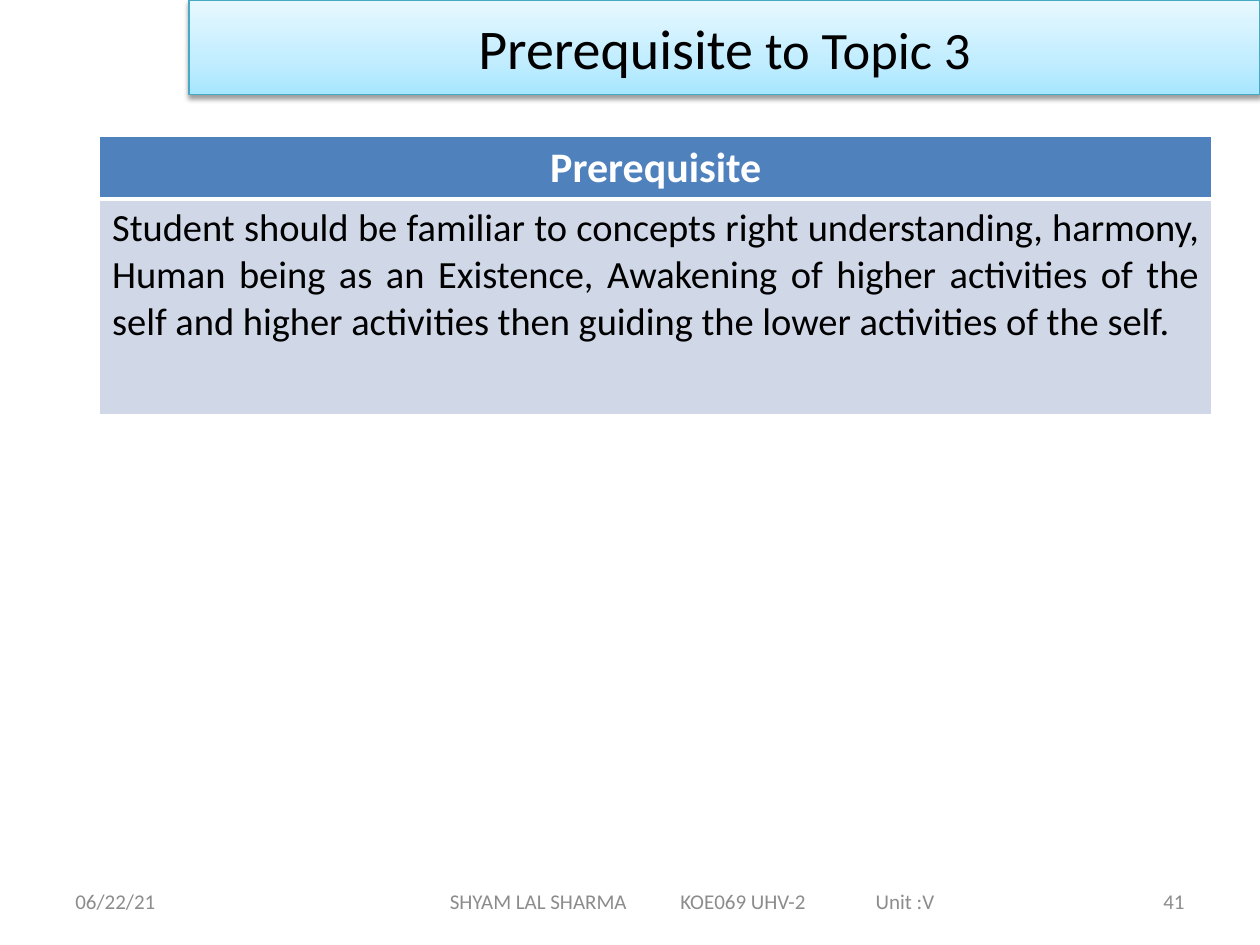
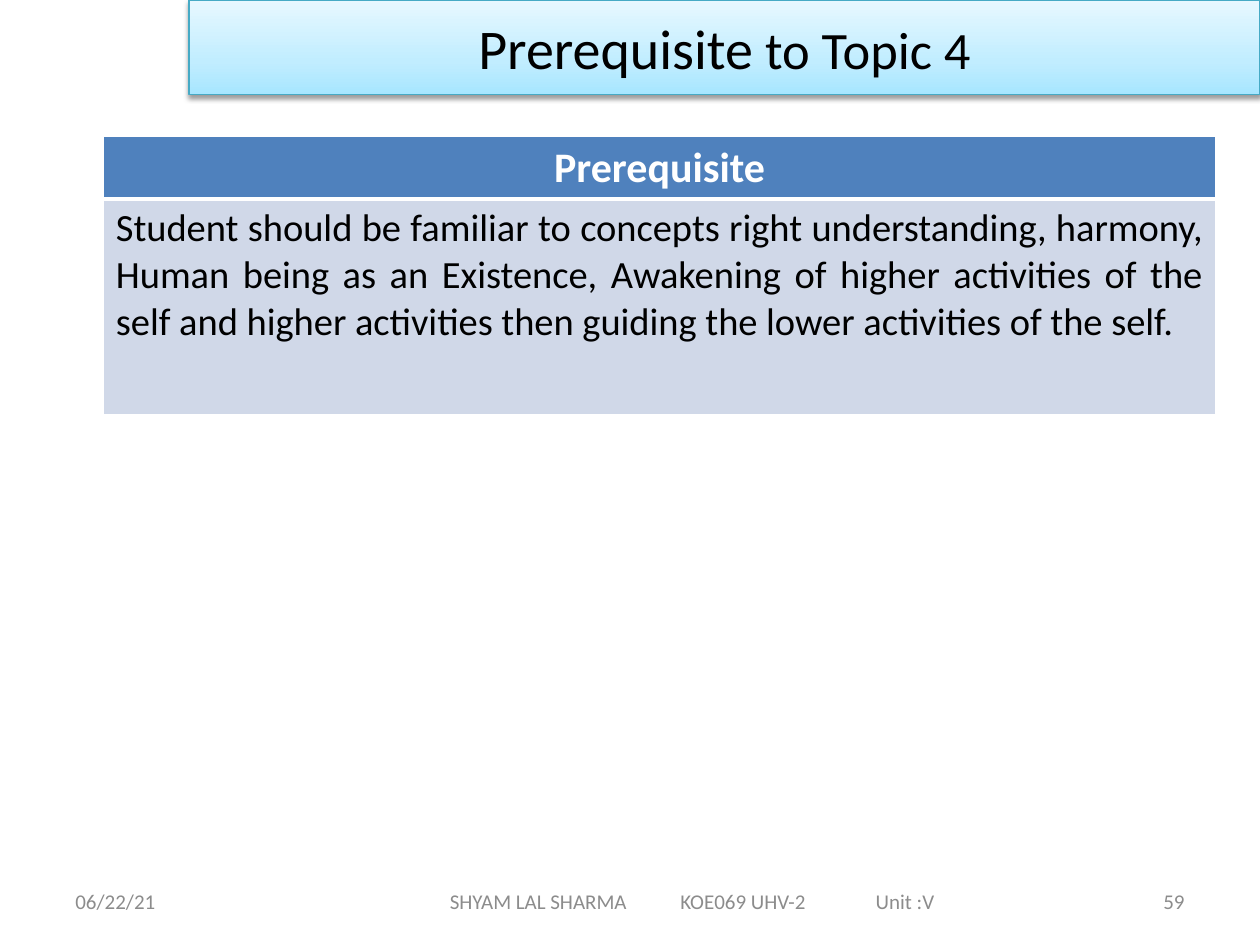
from dataclasses import dataclass

from lxml import etree
from pptx import Presentation
from pptx.dml.color import RGBColor
from pptx.enum.shapes import MSO_SHAPE
from pptx.enum.text import MSO_ANCHOR, PP_ALIGN
from pptx.oxml import parse_xml
from pptx.oxml.ns import qn
from pptx.util import Inches, Pt

RECT = MSO_SHAPE.RECTANGLE
MIDDLE = MSO_ANCHOR.MIDDLE
LEFT, CENTER, RIGHT = PP_ALIGN.LEFT, PP_ALIGN.CENTER, PP_ALIGN.RIGHT
JUSTIFY = PP_ALIGN.JUSTIFY
NS = 'xmlns:a="http://schemas.openxmlformats.org/drawingml/2006/main"'


@dataclass(frozen=True)
class Theme:
    font: str = "Calibri"
    ink: str = "000000"
    paper: str = "FFFFFF"
    gray: str = "8C8C8C"
    edge: str = "46AAC5"
    head: str = "4F81BD"
    body: str = "D0D8E8"
    band: tuple = ((0, "A7E6FF"), (35, "C1EDFF"), (100, "E7F8FF"))
    title_size: float = 32
    topic_size: float = 30
    head_size: float = 24
    body_size: float = 22
    foot_size: float = 12


@dataclass(frozen=True)
class Topic:
    number: int
    page: int
    left: float


@dataclass(frozen=True)
class Foot:
    text: str
    left: float
    width: float
    align: PP_ALIGN
    inset: float = 0.1
    tabs: tuple = ()


THEME = Theme()
TOPICS = (Topic(3, 41, 0.79), Topic(4, 59, 0.82))
NEED = ("Student should be familiar to concepts right understanding, harmony, "
        "Human being as an Existence, Awakening of higher activities of the "
        "self and higher activities then guiding the lower activities of the self.")


def style(run, size: float, color: str, bold: bool = False) -> None:
    font = run.font
    font.name, font.size, font.bold = THEME.font, Pt(size), bold
    font.color.rgb = RGBColor.from_string(color)


def add_foot(slide, foot: Foot) -> None:
    box = slide.shapes.add_textbox(
        Inches(foot.left), Inches(6.95), Inches(foot.width), Inches(0.4))
    frame = box.text_frame
    frame.word_wrap = True
    frame.vertical_anchor = MIDDLE
    frame.margin_left = Inches(foot.inset)
    frame.text = foot.text
    para = frame.paragraphs[0]
    para.alignment = foot.align
    if foot.tabs:
        stops = etree.SubElement(para._p.get_or_add_pPr(), qn("a:tabLst"))
        for stop in foot.tabs:
            etree.SubElement(stops, qn("a:tab"), pos=str(Inches(stop)), algn="l")
    for run in para.runs:
        style(run, THEME.foot_size, THEME.gray)


def add_title(slide, number: int) -> None:
    band = slide.shapes.add_shape(
        RECT, Inches(1.5), Inches(0), Inches(8.5), Inches(0.75))
    band.line.color.rgb = RGBColor.from_string(THEME.edge)
    band.line.width = Pt(0.75)

    # Gradient rising from the lower edge
    band.fill.gradient()
    band.fill.gradient_angle = 90
    props = band._element.spPr
    stops = props.find(qn("a:gradFill")).find(qn("a:gsLst"))
    for old in list(stops):
        stops.remove(old)
    for place, color in THEME.band:
        stops.append(parse_xml(
            f'<a:gs {NS} pos="{place * 1000}"><a:srgbClr val="{color}"/></a:gs>'))

    # Soft shadow below
    band.shadow.inherit = False
    props.find(qn("a:effectLst")).append(parse_xml(
        f'<a:outerShdw {NS} blurRad="{Pt(3.1)}" dist="{Pt(1.6)}" dir="5400000" '
        f'rotWithShape="0"><a:srgbClr val="{THEME.ink}"><a:alpha val="38000"/>'
        '</a:srgbClr></a:outerShdw>'))

    frame = band.text_frame
    frame.vertical_anchor = MIDDLE
    para = frame.paragraphs[0]
    para.alignment = CENTER
    for text, size in (("Prerequisite", THEME.title_size),
                       (f" to Topic {number}", THEME.topic_size)):
        run = para.add_run()
        run.text = text
        style(run, size, THEME.ink)


def set_edges(cell, top: float, bottom: float) -> None:
    props = cell._tc.get_or_add_tcPr()
    widths = {"lnL": 1, "lnR": 1, "lnT": top, "lnB": bottom}
    for spot, (side, width) in enumerate(widths.items()):
        props.insert(spot, parse_xml(
            f'<a:{side} {NS} w="{Pt(width)}"><a:solidFill>'
            f'<a:srgbClr val="{THEME.paper}"/></a:solidFill></a:{side}>'))


def fill_cell(cell, text: str, fill: str, align: PP_ALIGN,
              size: float, color: str, bold: bool) -> None:
    cell.fill.solid()
    cell.fill.fore_color.rgb = RGBColor.from_string(fill)
    cell.text_frame.text = text
    para = cell.text_frame.paragraphs[0]
    para.alignment = align
    style(para.runs[0], size, color, bold)


def add_needs(slide, left: float) -> None:
    table = slide.shapes.add_table(
        2, 1, Inches(left), Inches(1.08), Inches(8.83), Inches(2.21)).table
    table.horz_banding = False
    for row, height in zip(table.rows, (0.5, 1.71)):
        row.height = Inches(height)
    head, body = table.cell(0, 0), table.cell(1, 0)
    fill_cell(head, "Prerequisite", THEME.head, CENTER,
              THEME.head_size, THEME.paper, True)
    fill_cell(body, NEED, THEME.body, JUSTIFY,
              THEME.body_size, THEME.ink, False)
    set_edges(head, 1, 3)
    set_edges(body, 3, 1)


def add_topic(deck, topic: Topic) -> None:
    slide = deck.slides.add_slide(deck.slide_layouts[6])
    feet = (
        Foot("06/22/21", 0.5, 2.33, LEFT),
        Foot("SHYAM LAL SHARMA\tKOE069 UHV-2\tUnit :V", 2.75, 5.5, LEFT,
             0.82, (1.83, 3.38)),
        Foot(str(topic.page), 7.17, 2.33, RIGHT),
    )
    for foot in feet:
        add_foot(slide, foot)
    add_title(slide, topic.number)
    add_needs(slide, topic.left)


def main() -> None:
    deck = Presentation()
    deck.slide_width, deck.slide_height = Inches(10), Inches(7.5)
    for topic in TOPICS:
        add_topic(deck, topic)
    deck.save("out.pptx")


if __name__ == "__main__":
    main()
